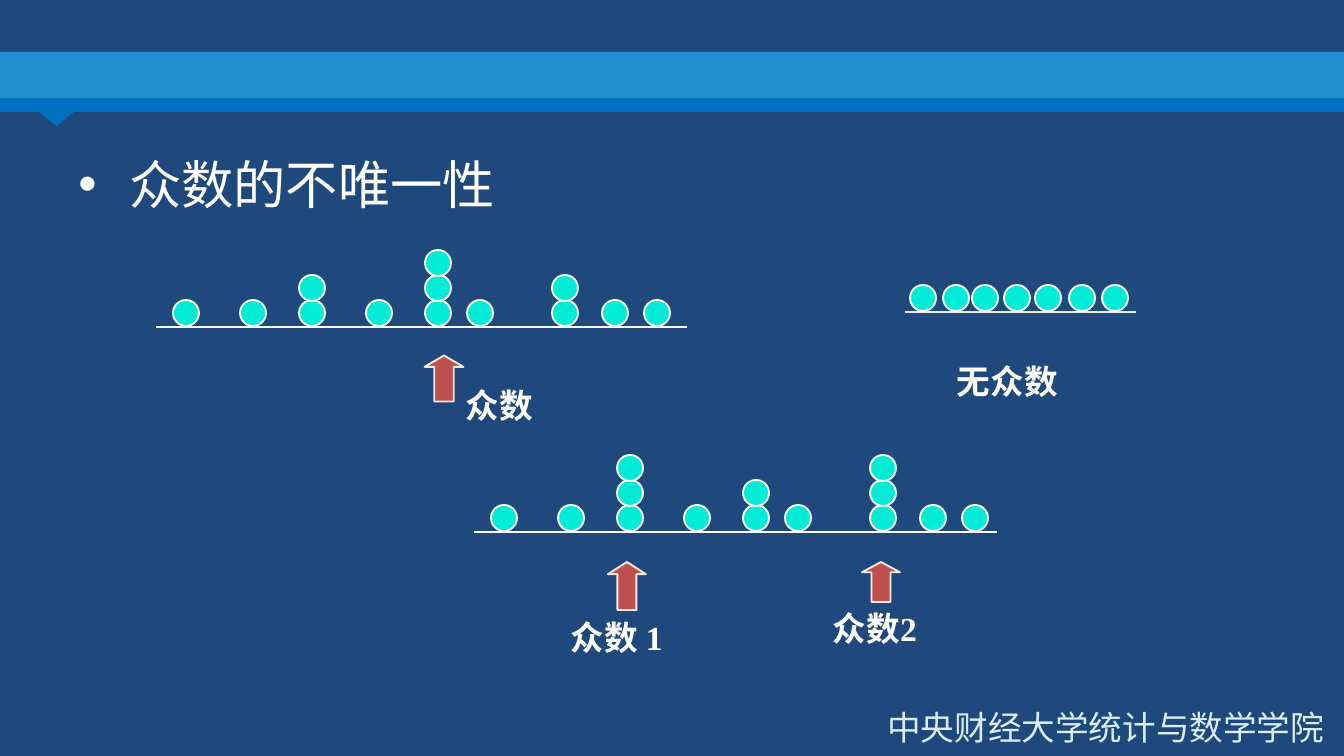
from dataclasses import dataclass, field
from typing import NamedTuple

from pptx import Presentation
from pptx.dml.color import RGBColor
from pptx.enum.shapes import MSO_CONNECTOR as Connector, MSO_SHAPE as Preset
from pptx.enum.text import PP_ALIGN as Align
from pptx.oxml.xmlchemy import OxmlElement
from pptx.util import Emu, Pt

EMU_PER_PX = 914400 / 134.4


@dataclass(frozen=True)
class Theme:
    background: str = "1F497D"
    band: str = "2390D1"
    band_edge: str = "0071C0"
    white: str = "FFFFFF"
    footer: str = "DAEFF5"
    dot: str = "00ECD6"
    arrow: str = "C0504D"
    cream: str = "EEECE1"
    cjk_font: str = "Noto Sans CJK SC"
    label_font: str = "Times New Roman"
    body_size: int = 28
    label_size: int = 18


class Box(NamedTuple):
    left: int
    top: int
    width: int
    height: int

    def inside(self, left, top, width, height):
        return Box(self.left + left, self.top + top, width, height)


@dataclass(frozen=True)
class DotPlot:
    box: Box
    inset: int
    offsets: tuple
    counts: tuple
    axis_color: str
    axis_width: float
    labels: list = field(default_factory=list)
    arrows: list = field(default_factory=list)


THEME = Theme()
DOT_SIZE = 26
DOT_PITCH = 25
DOT_RISE = 27
NINE_OFFSETS = (0, 67, 126, 193, 252, 294, 379, 429, 471)


def px(length):
    return Emu(round(length * EMU_PER_PX))


def emu_box(box):
    return [px(length) for length in box]


def rgb(color):
    return RGBColor.from_string(color)


def write_text(paragraph, text, font=THEME.cjk_font, size=THEME.label_size,
               color=THEME.white, bold=False, align=Align.LEFT):
    paragraph.alignment = align
    run = paragraph.add_run()
    run.text = text
    run.font.name = font
    run.font.size = Pt(size)
    run.font.bold = bold
    run.font.color.rgb = rgb(color)
    east_asian = OxmlElement("a:ea")
    east_asian.set("typeface", THEME.cjk_font)
    run.font._element.append(east_asian)


def add_text(shapes, box, text, inset=(13, 7), **text_format):
    frame = shapes.add_textbox(*emu_box(box)).text_frame
    frame.word_wrap = True
    frame.margin_left = frame.margin_right = px(inset[0])
    frame.margin_top = frame.margin_bottom = px(inset[1])
    write_text(frame.paragraphs[0], text, **text_format)


def add_preset(shapes, preset, box, fill, line=None, rotation=0):
    shape = shapes.add_shape(preset, *emu_box(box))
    shape.shadow.inherit = False
    shape.rotation = rotation
    shape.fill.solid()
    shape.fill.fore_color.rgb = rgb(fill)
    if line:
        shape.line.color.rgb = rgb(line)
        shape.line.width = Pt(1)
    else:
        shape.line.fill.background()
    return shape


def add_axis(shapes, box, color, width):
    baseline = box.top + box.height
    axis = shapes.add_connector(Connector.STRAIGHT, px(box.left), px(baseline),
                                px(box.left + box.width), px(baseline))
    axis.line.color.rgb = rgb(color)
    axis.line.width = Pt(width)
    axis._element.spPr.append(OxmlElement("a:effectLst"))


def add_header(slide, box):
    shapes = slide.shapes.add_group_shape().shapes
    add_preset(shapes, Preset.ISOSCELES_TRIANGLE, box.inside(38, 59, 37, 15),
               THEME.band_edge, rotation=180)
    add_preset(shapes, Preset.RECTANGLE, box.inside(0, 0, box.width, 47), THEME.band)
    add_preset(shapes, Preset.RECTANGLE, box.inside(0, 46, box.width, 14), THEME.band_edge)


def add_body(slide, box, text):
    body = slide.placeholders[1]
    body.left, body.top, body.width, body.height = emu_box(box)
    paragraph = body.text_frame.paragraphs[0]
    paragraph.line_spacing = 1.2
    paragraph.space_before = Pt(0)
    properties = paragraph._p.get_or_add_pPr()
    properties.set("marL", str(px(51)))
    properties.set("indent", str(px(-51)))
    bullet = OxmlElement("a:buChar")
    bullet.set("char", "•")
    properties.append(bullet)
    write_text(paragraph, text, size=THEME.body_size)


def add_dot_plot(slide, plot):
    shapes = slide.shapes.add_group_shape().shapes
    box = plot.box
    add_axis(shapes, box, plot.axis_color, plot.axis_width)
    for offset, count in zip(plot.offsets, plot.counts):
        for level in range(count):
            top = box.height - DOT_RISE - level * DOT_PITCH
            dot_box = box.inside(plot.inset + offset, top, DOT_SIZE, DOT_SIZE)
            add_preset(shapes, Preset.OVAL, dot_box, THEME.dot, THEME.white)
    for left, drop, width, text in plot.labels:
        add_text(shapes, box.inside(left, box.height + drop, width, 50), text,
                 inset=(9, 5), font=THEME.label_font, bold=True)
    for left, drop, length, breadth, head in plot.arrows:
        arrow_box = box.inside(left, box.height + drop, length, breadth)
        arrow = add_preset(shapes, Preset.RIGHT_ARROW, arrow_box, THEME.arrow,
                           THEME.cream, rotation=270)
        arrow.adjustments[0] = 0.5
        arrow.adjustments[1] = head


def main():
    presentation = Presentation()
    presentation.slide_width, presentation.slide_height = px(1344), px(756)
    slide = presentation.slides.add_slide(presentation.slide_layouts[1])
    slide.background.fill.solid()
    slide.background.fill.fore_color.rgb = rgb(THEME.background)
    title = slide.shapes.title._element
    title.getparent().remove(title)

    add_header(slide, Box(0, 52, 1344, 60))
    add_text(slide.shapes, Box(782, 700, 555, 54), "中央财经大学统计与数学学院",
             color=THEME.footer, align=Align.RIGHT)
    add_body(slide, Box(65, 133, 907, 487), "众数的不唯一性")

    plots = [
        DotPlot(Box(156, 250, 531, 77), 17, NINE_OFFSETS, (1, 1, 2, 1, 3, 1, 2, 1, 1),
                THEME.white, 1, labels=[(301, 53, 187, "众数")],
                arrows=[(265, 32, 46, 39, 0.29)]),
        DotPlot(Box(905, 285, 231, 27), 5, (0, 33, 62, 94, 125, 159, 192), (1,) * 7,
                THEME.cream, 1.5, labels=[(43, 44, 179, "无众数")]),
        DotPlot(Box(474, 455, 523, 77), 17, NINE_OFFSETS, (1, 1, 3, 1, 2, 1, 3, 1, 1),
                THEME.white, 1,
                labels=[(88, 80, 187, "众数 1"), (350, 71, 187, "众数2")],
                arrows=[(129, 35, 48, 38, 0.32), (387, 31, 40, 38, 0.27)]),
    ]
    for plot in plots:
        add_dot_plot(slide, plot)
    presentation.save("out.pptx")


if __name__ == "__main__":
    main()
